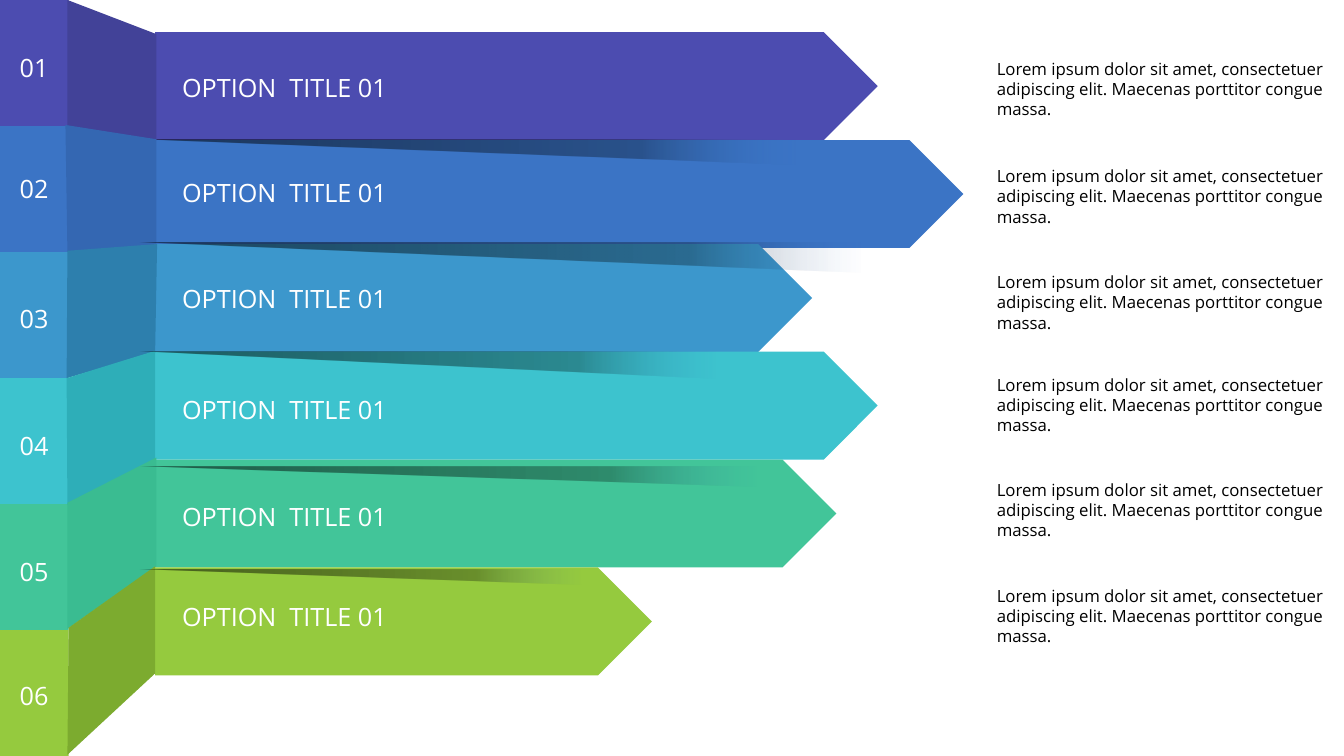
from dataclasses import dataclass

from lxml import etree
from pptx import Presentation
from pptx.dml.color import RGBColor
from pptx.enum.shapes import MSO_SHAPE as Preset
from pptx.enum.text import MSO_AUTO_SIZE as AutoSize, PP_ALIGN as Align
from pptx.oxml import parse_xml
from pptx.oxml.ns import nsdecls, qn
from pptx.util import Cm, Pt


@dataclass(frozen=True)
class Theme:
    font: str = "Open Sans"
    heading_size: int = 18
    body_size: int = 12
    light: str = "FFFFFF"
    dark: str = "000000"
    shade_end: str = "3B74C5"


@dataclass(frozen=True)
class Option:
    color: str
    fold_color: str
    arrow_top: float
    arrow_width: float
    fold: tuple
    number_top: float
    title_top: float
    body_top: float


THEME = Theme()
PAGE_WIDTH, PAGE_HEIGHT = 33.87, 19.05
TAB_WIDTH = 1.73
ARROW_LEFT, ARROW_HEIGHT = 3.91, 2.72
SHADE_LEFT = 3.51
TITLE = "OPTION  TITLE 01"
BODY = ("Lorem ipsum dolor sit amet, consectetuer adipiscing elit. "
        "Maecenas porttitor congue massa.")

OPTIONS = [
    Option("4C4CB0", "424298", 0.81, 18.21,
           ((1.7, 0), (3.94, 0.86), (3.94, 3.53), (1.7, 3.18)),
           1.19, 1.7, 1.35),
    Option("3B74C5", "3467B2", 3.53, 20.37,
           ((1.65, 3.15), (3.94, 3.51), (3.94, 6.17), (1.7, 6.35)),
           4.24, 4.34, 4.06),
    Option("3C97CC", "2D7FAD", 6.15, 16.56,
           ((1.7, 6.32), (3.96, 6.15), (3.91, 8.89), (1.68, 9.53)),
           7.52, 7.01, 6.73),
    Option("3DC3CE", "2EAEB8", 8.86, 18.21,
           ((1.68, 9.53), (3.91, 8.84), (3.91, 11.58), (1.7, 12.73)),
           10.72, 9.8, 9.32),
    Option("42C599", "3ABC91", 11.58, 17.17,
           ((1.7, 12.67), (3.94, 11.53), (3.94, 14.27), (1.7, 15.85)),
           13.89, 12.52, 11.96),
    Option("95CA3E", "7CAB2F", 14.3, 12.52,
           ((1.73, 15.82), (3.91, 14.27), (3.91, 16.97), (1.7, 19.02)),
           17.02, 15.04, 14.63),
]

SHADES = [
    (3.51, 16.56, 0.64),
    (6.12, 18.21, 0.76),
    (8.86, 14.55, 0.69),
    (11.76, 15.57, 0.51),
    (14.35, 11.15, 0.38),
]


def paint(shape, color):
    shape.shadow.inherit = False
    shape.line.fill.background()
    shape.fill.solid()
    shape.fill.fore_color.rgb = RGBColor.from_string(color)


def add_block(page, preset, left, top, width, height, color):
    block = page.shapes.add_shape(preset, Cm(left), Cm(top), Cm(width), Cm(height))
    paint(block, color)
    return block


def add_fold(page, points, color):
    start, *rest = [(Cm(x), Cm(y)) for x, y in points]
    builder = page.shapes.build_freeform(*start)
    builder.add_line_segments(rest, close=True)
    paint(builder.convert_to_shape(), color)


def add_shade(page, top, width, height):
    shade = add_block(page, Preset.RIGHT_TRIANGLE, SHADE_LEFT, top, width, height, THEME.dark)
    properties = shade.element.spPr
    frame = properties.find(qn("a:xfrm"))
    frame.set("flipH", "1")
    frame.set("flipV", "1")
    gradient = parse_xml(f'<a:gradFill {nsdecls("a")} rotWithShape="1"/>')
    stops = etree.SubElement(gradient, qn("a:gsLst"))
    for position, color, opacity in ((1, THEME.dark, 54), (76, THEME.dark, 29),
                                     (100, THEME.shade_end, 0)):
        stop = etree.SubElement(stops, qn("a:gs"), pos=str(position * 1000))
        tint = etree.SubElement(stop, qn("a:srgbClr"), val=color)
        etree.SubElement(tint, qn("a:alpha"), val=str(opacity * 1000))
    etree.SubElement(gradient, qn("a:lin"), ang=str(180 * 60000), scaled="0")
    properties.replace(properties.find(qn("a:solidFill")), gradient)


def add_text(page, text, left, top, width, height, *, size=THEME.heading_size,
             color=THEME.light, align=Align.LEFT):
    box = page.shapes.add_textbox(Cm(left), Cm(top), Cm(width), Cm(height))
    box.text_frame.word_wrap = True
    box.text_frame.auto_size = AutoSize.SHAPE_TO_FIT_TEXT
    para = box.text_frame.paragraphs[0]
    para.alignment = align
    span = para.add_run()
    span.text = text
    span.font.name = THEME.font
    span.font.size = Pt(size)
    span.font.color.rgb = RGBColor.from_string(color)


def main():
    deck = Presentation()
    deck.slide_width, deck.slide_height = Cm(PAGE_WIDTH), Cm(PAGE_HEIGHT)
    page = deck.slides.add_slide(deck.slide_layouts[6])

    tab_height = PAGE_HEIGHT / len(OPTIONS)
    for index, option in enumerate(OPTIONS):
        add_block(page, Preset.RECTANGLE, 0, index * tab_height,
                  TAB_WIDTH, tab_height, option.color)
        add_block(page, Preset.PENTAGON, ARROW_LEFT, option.arrow_top,
                  option.arrow_width, ARROW_HEIGHT, option.color)

    first_shade, *upper_shades = SHADES
    add_shade(page, *first_shade)
    for option in OPTIONS:
        add_fold(page, option.fold, option.fold_color)
    for shade in upper_shades:
        add_shade(page, *shade)

    for number, option in enumerate(OPTIONS, 1):
        add_text(page, f"{number:02}", 0.1, option.number_top, 1.52, 1.02,
                 align=Align.CENTER)
        add_text(page, TITLE, 4.34, option.title_top, 6.6, 1.02)
        add_text(page, BODY, 24.87, option.body_top, 8.89, 1.8,
                 size=THEME.body_size, color=THEME.dark)

    deck.save("out.pptx")


if __name__ == "__main__":
    main()
